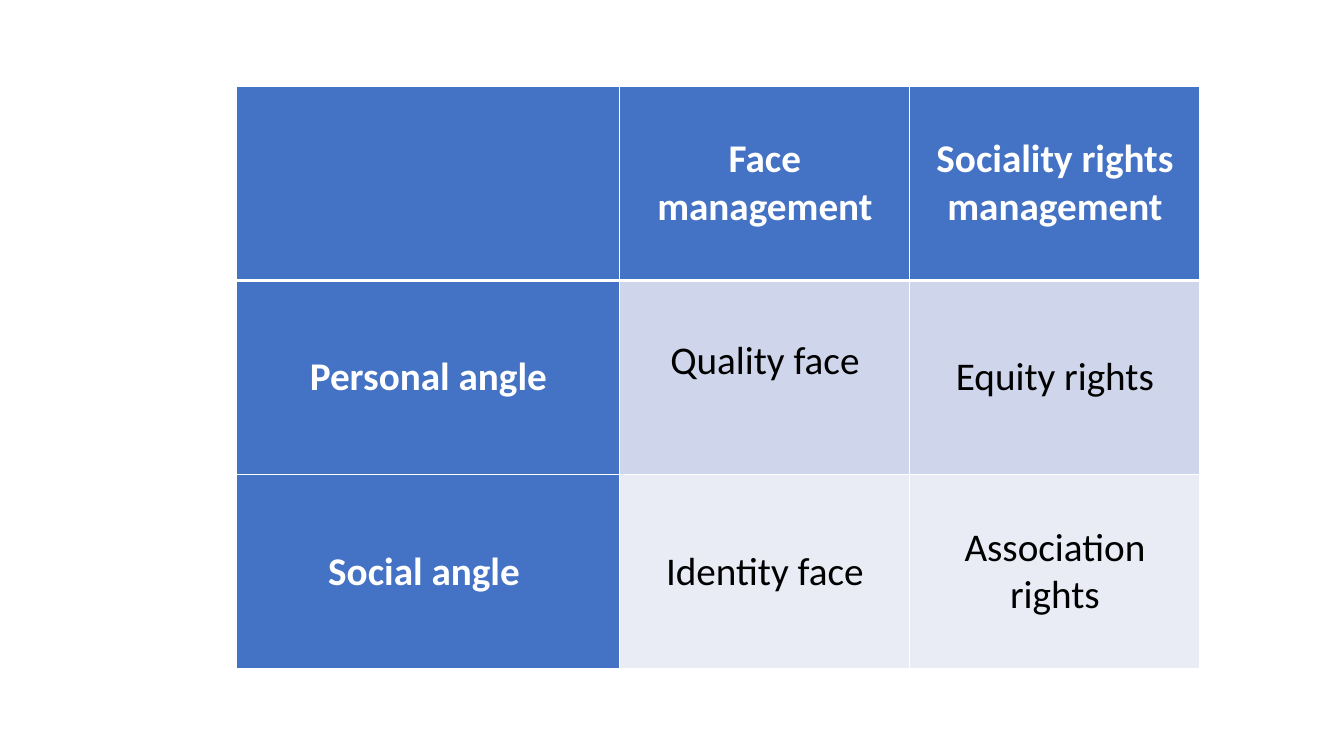
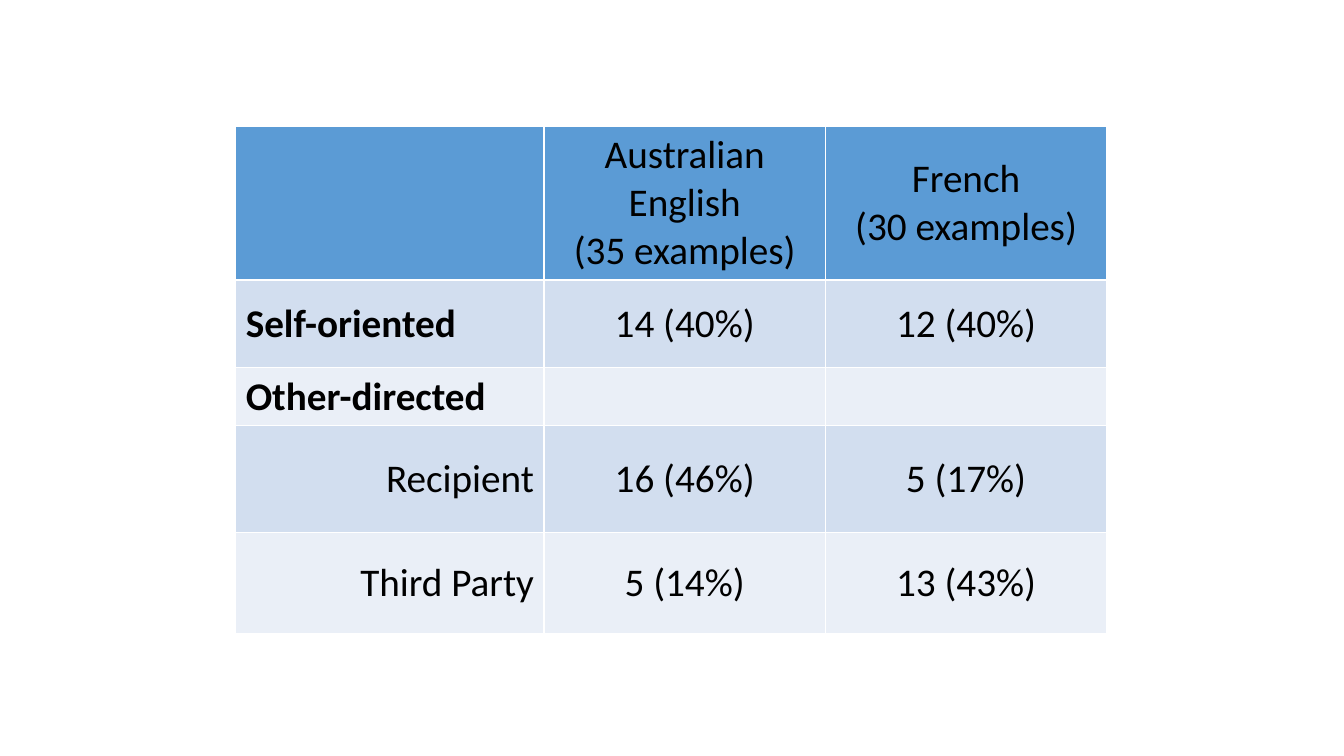
import pptx
import pptx.util
import pptx.dml.color
import pptx.enum.text
from lxml import etree
from pptx.util import Cm, Pt

COLORS = {
    "white": "FFFFFF", "black": "000000",
    "blue": "4472C4", "blue_dark_band": "CFD5EA", "blue_light_band": "E9EBF5",
    "sky": "5B9BD5", "sky_dark_band": "D2DEEF", "sky_light_band": "EAEFF7",
}
LEFT = pptx.enum.text.PP_ALIGN.LEFT
CENTER = pptx.enum.text.PP_ALIGN.CENTER
RIGHT = pptx.enum.text.PP_ALIGN.RIGHT


class Deck:
    font = "Calibri"
    size = Pt(28)

    def __init__(self):
        self.prs = pptx.Presentation()
        self.prs.slide_width, self.prs.slide_height = Cm(33.87), Cm(19.05)
        self.s = None

    def slide(self):
        self.s = self.prs.slides.add_slide(self.prs.slide_layouts[6])

    def table(self, left, top, widths, heights, rows, theme):
        """Add a table with a header row and two alternating band colours."""
        frame = self.s.shapes.add_table(
            len(heights), len(widths), Cm(left), Cm(top),
            Cm(sum(widths)), Cm(sum(heights)))
        tbl = frame.table
        tbl.horz_banding = False
        for column, width in zip(tbl.columns, widths):
            column.width = Cm(width)
        for i, (height, texts) in enumerate(zip(heights, rows)):
            tbl.rows[i].height = Cm(height)
            band = "dark_band" if i % 2 else "light_band"
            fill = f"{theme}_{band}" if i else theme
            for j, text in enumerate(texts):
                self.cell(tbl.cell(i, j), text, fill)
        return tbl

    def cell(self, cell, text, fill):
        cell.fill.solid()
        cell.fill.fore_color.rgb = self.rgb(fill)
        cell.vertical_anchor = pptx.enum.text.MSO_ANCHOR.MIDDLE
        cell.text = text
        self.style(cell)
        for side in ("L", "R", "T", "B"):
            self.border(cell, side, 1)

    def style(self, cell, color="black", bold=False, align=CENTER):
        for p in cell.text_frame.paragraphs:
            p.alignment = align
            p.font.name, p.font.size, p.font.bold = self.font, self.size, bold
            p.font.color.rgb = self.rgb(color)

    def border(self, cell, side, points):
        """Set one white cell border, replacing any earlier one."""
        tc_pr = cell._tc.get_or_add_tcPr()
        ns = "{http://schemas.openxmlformats.org/drawingml/2006/main}"
        tag = f"{ns}ln{side}"
        for old in tc_pr.findall(tag):
            tc_pr.remove(old)
        ln = etree.Element(tag, w=str(Pt(points)))
        solid = etree.SubElement(ln, f"{ns}solidFill")
        etree.SubElement(solid, f"{ns}srgbClr", val=COLORS["white"])
        # Borders must precede the fill, in the order L, R, T, B.
        tc_pr.insert("LRTB".index(side), ln)

    @staticmethod
    def rgb(name):
        return pptx.dml.color.RGBColor.from_string(COLORS[name])


def rapport_slide(deck):
    deck.slide()
    rows = [
        ["", "Face management", "Sociality rights management"],
        ["Personal angle", "Quality face", "Equity rights"],
        ["Social angle ", "Identity face", "Association rights"],
    ]
    tbl = deck.table(5.97, 2.18, [9.65, 7.31, 7.31], [4.89] * 3, rows, "blue")
    tbl.first_col = True
    for i in range(3):
        for j in range(3):
            if i == 0 or j == 0:
                cell = tbl.cell(i, j)
                cell.fill.fore_color.rgb = deck.rgb("blue")
                deck.style(cell, "white", bold=True)
    for j in range(3):
        deck.border(tbl.cell(0, j), "B", 3)
        deck.border(tbl.cell(1, j), "T", 3)
    tbl.cell(1, 1).margin_bottom = Cm(0.94)


def orientation_slide(deck):
    deck.slide()
    rows = [
        ["", "Australian English\n(35 examples)", "French\n(30 examples)"],
        ["Self-oriented", "14 (40%)", "12 (40%)"],
        ["Other-directed", "", ""],
        ["Recipient", "16 (46%)", "5 (17%)"],
        ["Third Party", "5 (14%)", "13 (43%)"],
    ]
    tbl = deck.table(5.94, 3.18, [7.77, 7.09, 7.09],
                     [3.86, 2.21, 1.46, 2.69, 2.54], rows, "sky")
    for i in (1, 2):
        deck.style(tbl.cell(i, 0), bold=True, align=LEFT)
    for i in (3, 4):
        deck.style(tbl.cell(i, 0), align=RIGHT)


def main():
    deck = Deck()
    rapport_slide(deck)
    orientation_slide(deck)
    deck.prs.save("out.pptx")


if __name__ == "__main__":
    main()
